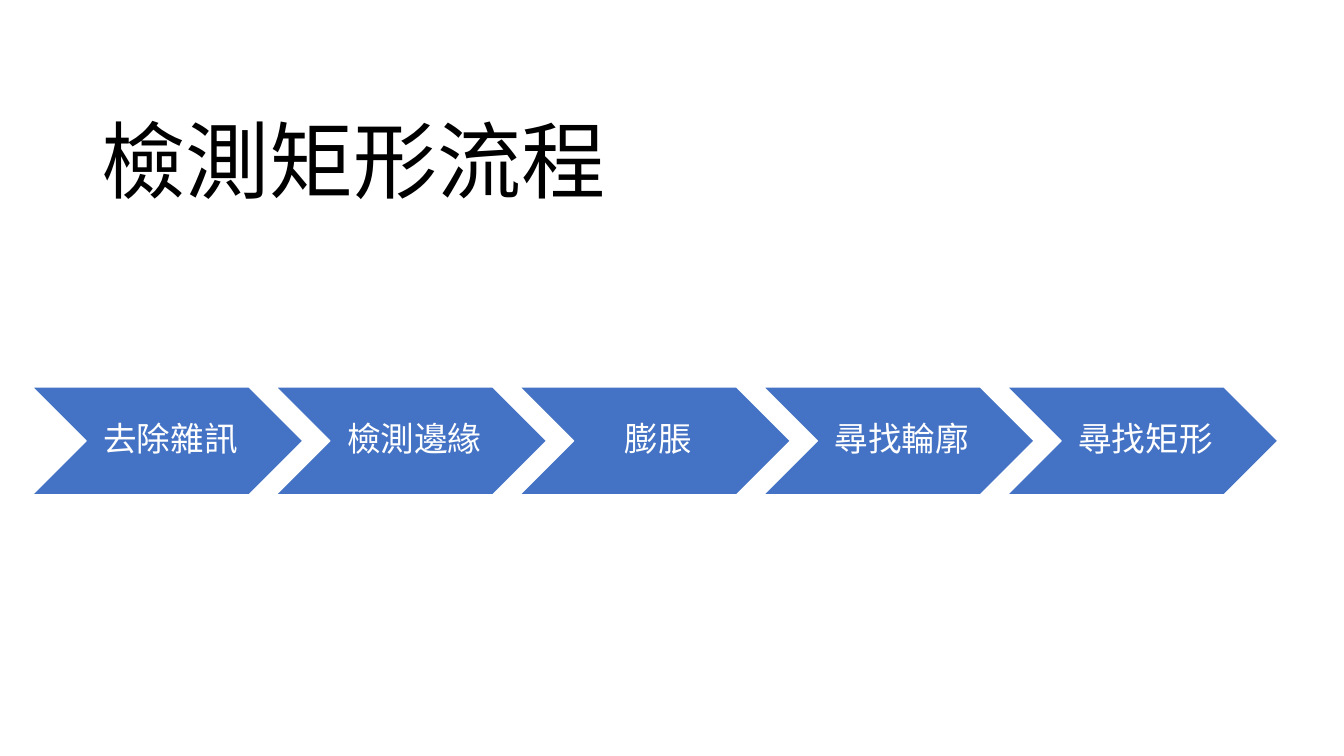
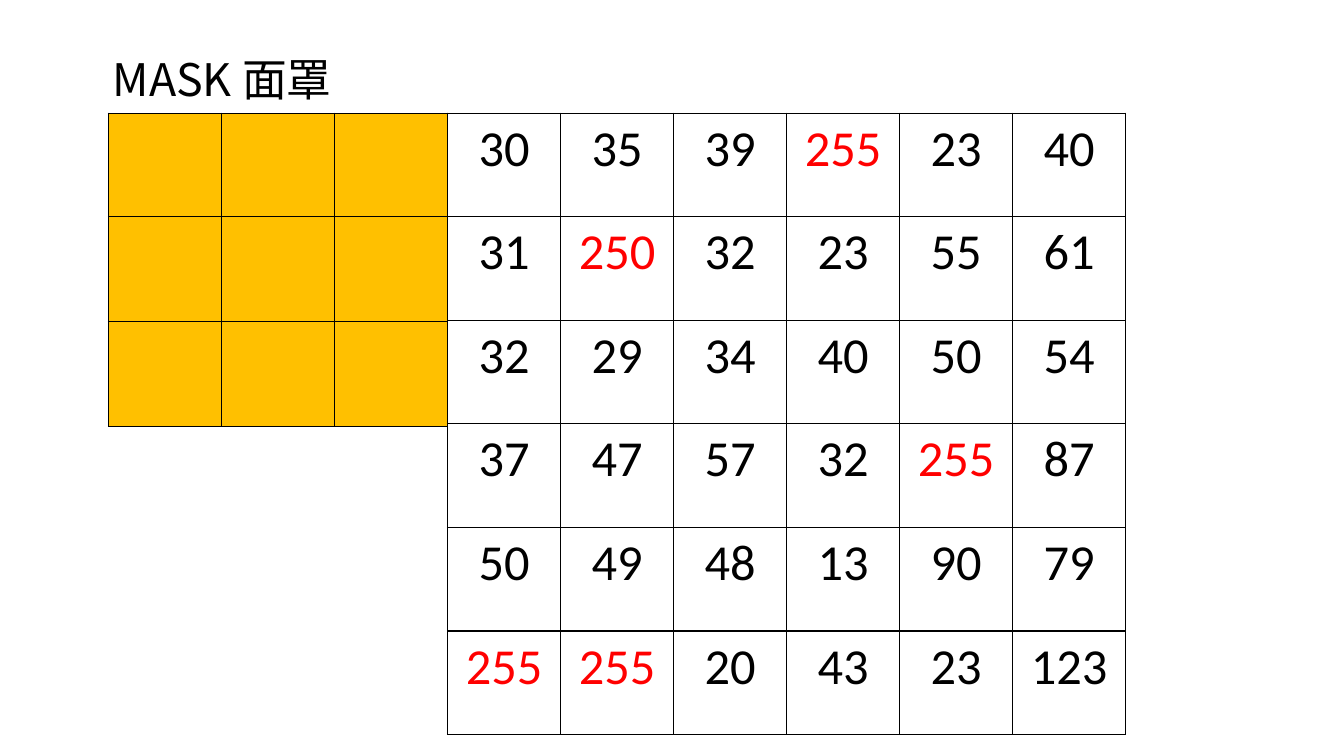
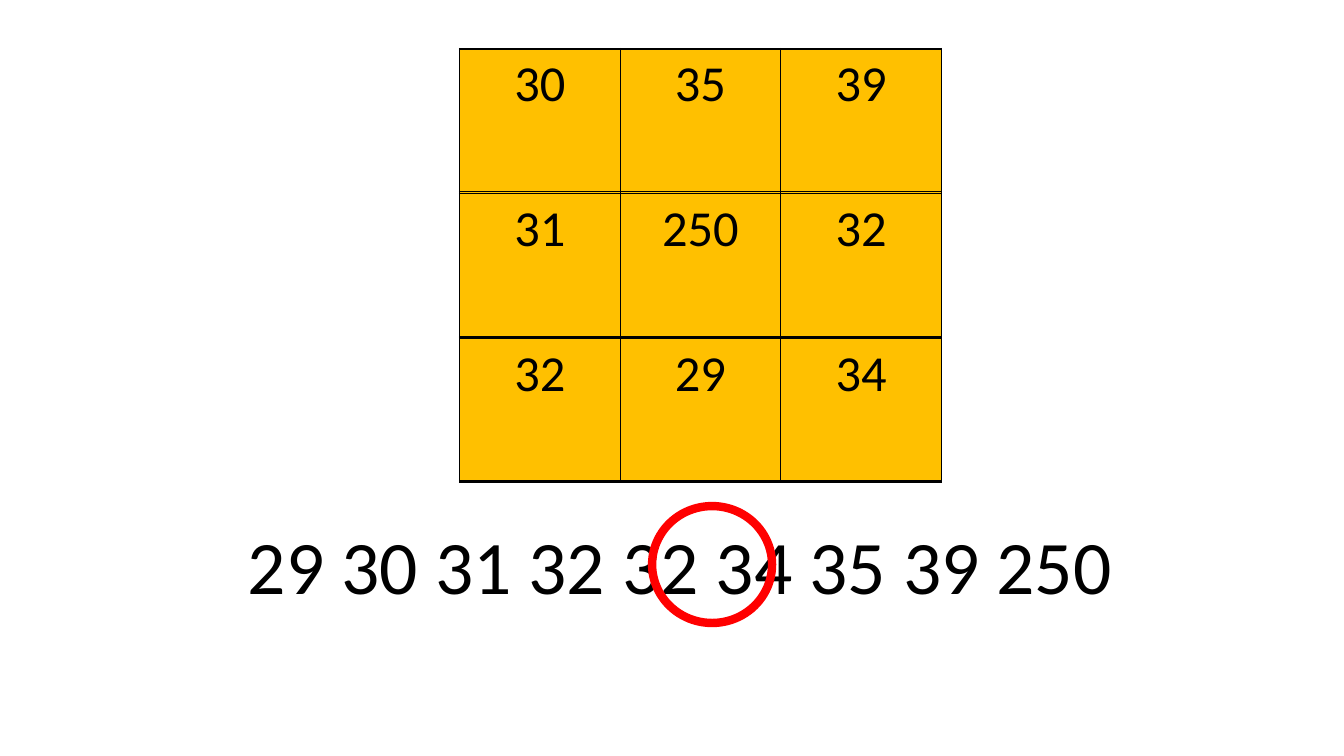
from lxml.etree import SubElement as Sub
from pptx import Presentation as Deck
from pptx.dml.color import RGBColor as Rgb
from pptx.enum.shapes import MSO_SHAPE as Kind
from pptx.enum.text import MSO_ANCHOR as Anchor, PP_ALIGN as Align
from pptx.oxml.ns import qn
from pptx.util import Pt

BLACK = Rgb(0x00, 0x00, 0x00)
WHITE = Rgb(0xFF, 0xFF, 0xFF)
BLUE = Rgb(0x44, 0x72, 0xC4)
GOLD = Rgb(0xFF, 0xC0, 0x00)
RED = Rgb(0xFF, 0x00, 0x00)
CJK = "Noto Sans CJK SC"
LATIN = "Calibri"

STEPS = ["去除雜訊", "檢測邊緣", "膨脹", "尋找輪廓", "尋找矩形"]
IMAGE = [
    [30, 35, 39, 255, 23, 40],
    [31, 250, 32, 23, 55, 61],
    [32, 29, 34, 40, 50, 54],
    [37, 47, 57, 32, 255, 87],
    [50, 49, 48, 13, 90, 79],
    [255, 255, 20, 43, 23, 123],
]
SIZE = 3
WINDOW = [row[:SIZE] for row in IMAGE[:SIZE]]
EMPTY = [[None] * SIZE] * SIZE
NOISE = 250


def write(frame, text, size=36, font=LATIN, color=BLACK, align=Align.LEFT,
          anchor=Anchor.TOP, wrap=True, space=1.0, inset=(7.2, 3.6, 7.2, 3.6)):
    frame.word_wrap = wrap
    frame.vertical_anchor = anchor
    (frame.margin_left, frame.margin_top,
     frame.margin_right, frame.margin_bottom) = map(Pt, inset)
    para = frame.paragraphs[0]
    para.alignment = align
    para.line_spacing = space
    run = para.add_run()
    run.text = text
    run.font.size = Pt(size)
    run.font.name = font
    run.font.color.rgb = color
    Sub(run.font._element, qn("a:ea"), typeface=font)


def label(slide, box, text, **form):
    shape = slide.shapes.add_textbox(*map(Pt, box))
    write(shape.text_frame, text, **form)


def draw(slide, kind, box, line, width, fill=None):
    shape = slide.shapes.add_shape(kind, *map(Pt, box))
    shape.shadow.inherit = False
    if fill is None:
        shape.fill.background()
    else:
        shape.fill.solid()
        shape.fill.fore_color.rgb = fill
    shape.line.color.rgb = line
    shape.line.width = Pt(width)
    return shape


def border(cell):
    props = cell._tc.get_or_add_tcPr()
    for side in ("lnL", "lnR", "lnT", "lnB"):
        edge = Sub(props, qn(f"a:{side}"), w=str(Pt(1)))
        fill = Sub(edge, qn("a:solidFill"))
        Sub(fill, qn("a:srgbClr"), val=str(BLACK))


def tint(cell, alpha):
    if alpha is None:
        cell.fill.background()
        return
    cell.fill.solid()
    cell.fill.fore_color.rgb = GOLD
    color = cell._tc.tcPr.find(".//" + qn("a:srgbClr"))
    Sub(color, qn("a:alpha"), val=str(alpha * 1000))


def grid(slide, left, top, wide, highs, data, alpha=None, limit=None):
    cols = len(data[0])
    frame = slide.shapes.add_table(len(data), cols, Pt(left), Pt(top),
                                   Pt(wide * cols), Pt(sum(highs)))
    table = frame.table
    table.first_row = table.horz_banding = False
    for col in table.columns:
        col.width = Pt(wide)
    for row, high, values in zip(table.rows, highs, data):
        row.height = Pt(high)
        for cell, value in zip(row.cells, values):
            border(cell)
            tint(cell, alpha)
            if value is not None:
                noisy = limit is not None and value >= limit
                write(cell.text_frame, str(value), align=Align.CENTER,
                      color=RED if noisy else BLACK)


def flow(slide):
    label(slide, (65.5, 65.5, 828, 104.4), "檢測矩形流程", size=60, font=CJK,
          anchor=Anchor.MIDDLE, space=0.9)
    for index, step in enumerate(STEPS):
        box = (23 + index * 174.1, 276.5, 193.5, 77)
        shape = draw(slide, Kind.CHEVRON, box, WHITE, 1, fill=BLUE)
        write(shape.text_frame, step, size=24, font=CJK, color=WHITE,
              align=Align.CENTER, anchor=Anchor.MIDDLE, space=0.9,
              inset=(7.2, 2.9, 2.9, 2.9))


def mask(slide):
    left, top, wide = 319.7, 80.8, 80.75
    grid(slide, left, top, wide, [74] * len(IMAGE), IMAGE, limit=NOISE)
    label(slide, (73.4, 33.1, 179.3, 46), "MASK 面罩", size=32, font=CJK,
          wrap=False)
    grid(slide, left - SIZE * wide, top, wide, [74, 74.9, 74.9], EMPTY,
         alpha=60)


def median(slide):
    left, wide, high = 328.2, 114.8, 103.4
    order = sorted(value for row in WINDOW for value in row)
    label(slide, (170, 367.2, 704, 72.7), " ".join(map(str, order)), size=54,
          align=Align.JUSTIFY)
    grid(slide, left, 35.2, wide, [101.6, high, high], EMPTY, alpha=39)
    draw(slide, Kind.OVAL, (465.8, 361.5, 85.7, 83.5), RED, 6)
    grid(slide, left, 34.6, wide, [high] * SIZE, WINDOW)


def main():
    deck = Deck()
    deck.slide_width, deck.slide_height = Pt(960), Pt(540)
    for build in (flow, mask, median):
        build(deck.slides.add_slide(deck.slide_layouts[6]))
    deck.save("out.pptx")


if __name__ == "__main__":
    main()
